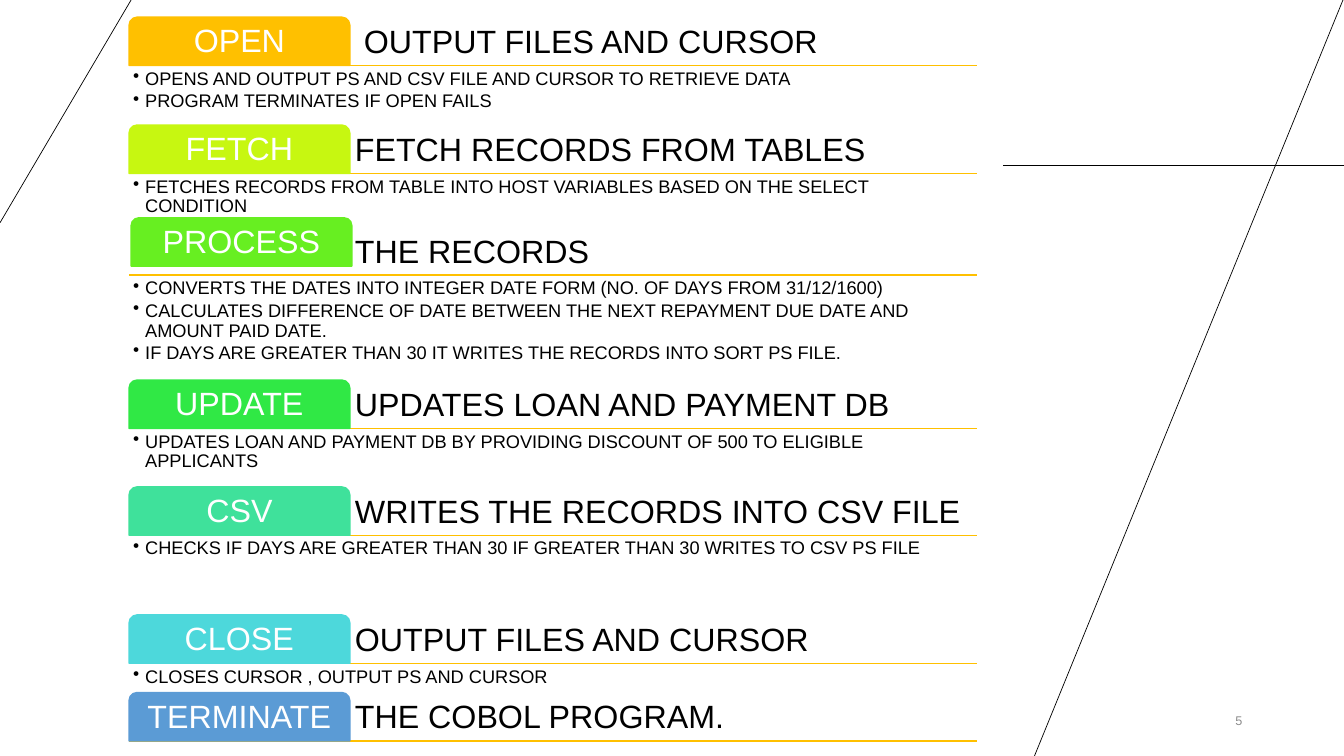
import pptx
import pptx.dml.color
import pptx.enum.shapes
import pptx.enum.text
import pptx.util
from pptx.oxml.xmlchemy import OxmlElement

Inches = pptx.util.Inches
Pt = pptx.util.Pt
Align = pptx.enum.text.PP_ALIGN
Anchor = pptx.enum.text.MSO_ANCHOR

BLACK = "000000"
WHITE = "FFFFFF"
GOLD = "FFC000"
GREY = "8C8C8C"

LEFT, WIDTH = 1.28, 8.41
TAB_WIDTH, TAB_HEIGHT = 2.19, 0.48

SECTIONS = [
    (0.17, 0.57, "FFC000", "OPEN", " OUTPUT FILES AND CURSOR", [
        "OPENS AND OUTPUT PS AND CSV FILE AND CURSOR TO RETRIEVE DATA",
        "PROGRAM TERMINATES IF OPEN FAILS"]),
    (1.24, 0.51, "C7F711", "FETCH", "FETCH RECORDS FROM TABLES", [
        "FETCHES RECORDS FROM TABLE INTO HOST VARIABLES BASED ON THE SELECT CONDITION"]),
    (2.25, 1.01, "67EF21", "PROCESS", "THE RECORDS", [
        "CONVERTS THE DATES INTO INTEGER DATE FORM (NO. OF DAYS FROM 31/12/1600)",
        "CALCULATES DIFFERENCE OF DATE BETWEEN THE NEXT REPAYMENT DUE DATE AND AMOUNT PAID DATE.",
        "IF DAYS ARE GREATER THAN 30 IT WRITES THE RECORDS INTO SORT PS FILE."]),
    (3.77, 0.55, "30E845", "UPDATE", "UPDATES LOAN AND PAYMENT DB", [
        "UPDATES LOAN AND PAYMENT DB BY PROVIDING DISCOUNT OF 500 TO ELIGIBLE APPLICANTS"]),
    (4.83, 0.76, "3FE19B", "CSV", "WRITES THE RECORDS INTO CSV FILE", [
        "CHECKS IF DAYS ARE GREATER THAN 30 IF GREATER THAN 30 WRITES TO CSV PS FILE"]),
    (6.1, 0.27, "4DD8DB", "CLOSE", "OUTPUT FILES AND CURSOR", [
        "CLOSES CURSOR , OUTPUT PS AND CURSOR"]),
    (6.87, 0, "5B9BD5", "TERMINATE", "THE COBOL PROGRAM.", []),
]
TAB_SHIFTS = {"PROCESS": (0.02, -0.09)}


def color(value):
    return pptx.dml.color.RGBColor.from_string(value)


def add_bullet(para):
    para.level = 1
    properties = para._p.get_or_add_pPr()
    properties.set("marL", str(Inches(0.12)))
    properties.set("indent", str(Inches(-0.12)))
    bullet = OxmlElement("a:buChar")
    bullet.set("char", "•")
    properties.append(bullet)


def write(box, lines, size, fill=BLACK, align=Align.LEFT, anchor=Anchor.TOP,
          inset=0.05, spacing=0.9, after=0, bullets=False):
    frame = box.text_frame
    frame.word_wrap = True
    frame.vertical_anchor = anchor
    frame.margin_left = frame.margin_right = Inches(inset)
    frame.margin_top = frame.margin_bottom = Inches(min(inset, 0.05))
    for index, line in enumerate(lines):
        para = frame.paragraphs[0] if index == 0 else frame.add_paragraph()
        para.alignment = align
        para.line_spacing = spacing
        para.space_after = Pt(after)
        if bullets:
            add_bullet(para)
        span = para.add_run()
        span.text = line
        span.font.name = "Arial"
        span.font.size = Pt(size)
        span.font.color.rgb = color(fill)


def add_text(page, left, top, width, height, lines, size, **style):
    box = page.shapes.add_textbox(Inches(left), Inches(top), Inches(width), Inches(height))
    write(box, lines, size, **style)


def add_line(page, x1, y1, x2, y2, stroke, weight):
    line = page.shapes.add_connector(
        pptx.enum.shapes.MSO_CONNECTOR.STRAIGHT,
        Inches(x1), Inches(y1), Inches(x2), Inches(y2))
    line.line.color.rgb = color(stroke)
    line.line.width = Pt(weight)
    line._element.spPr.append(OxmlElement("a:effectLst"))


def add_tab(page, left, top, fill, label):
    tab = page.shapes.add_shape(
        pptx.enum.shapes.MSO_SHAPE.ROUND_2_SAME_RECTANGLE,
        Inches(left), Inches(top), Inches(TAB_WIDTH), Inches(TAB_HEIGHT))
    tab.shadow.inherit = False
    tab.adjustments[0] = 0.167
    tab.fill.solid()
    tab.fill.fore_color.rgb = color(fill)
    tab.line.color.rgb = color(fill)
    tab.line.width = Pt(1)
    write(tab, [label], 23, fill=WHITE, align=Align.CENTER, anchor=Anchor.MIDDLE)


def add_section(page, left, top, width, body_height, fill, label, title, points):
    bottom = top + TAB_HEIGHT
    add_line(page, left, bottom, left + width, bottom, GOLD, 1)
    add_text(page, left + TAB_WIDTH, top, width - TAB_WIDTH, TAB_HEIGHT,
             [title], 23, anchor=Anchor.BOTTOM)
    shift_x, shift_y = TAB_SHIFTS.get(label, (0, 0))
    add_tab(page, left + shift_x, top + shift_y, fill, label)
    if points:
        add_text(page, left, bottom, width, body_height, points, 13,
                 inset=0.04, after=2, bullets=True)


def add_background_lines(page, width, height):
    add_line(page, 9.95, 1.64, width, 1.64, BLACK, 0.5)
    add_line(page, width - 0.01, 0, 10.26, height, BLACK, 0.5)
    add_line(page, 0, 2.21, 1.3, 0, BLACK, 0.5)


def add_page_number(page, left, top, width, height):
    add_text(page, left, top, width, height, ["5"], 9, fill=GREY,
             align=Align.RIGHT, anchor=Anchor.MIDDLE, inset=0.1, spacing=1.0)


def main():
    deck = pptx.Presentation()
    deck.slide_width = Inches(13.33)
    deck.slide_height = Inches(7.5)
    page = deck.slides.add_slide(deck.slide_layouts[6])
    add_background_lines(page, 13.33, 7.5)
    for top, body_height, fill, label, title, points in SECTIONS:
        add_section(page, LEFT, top, WIDTH, body_height, fill, label, title, points)
    add_page_number(page, 11.34, 6.95, 1.08, 0.4)
    deck.save("out.pptx")


if __name__ == "__main__":
    main()
